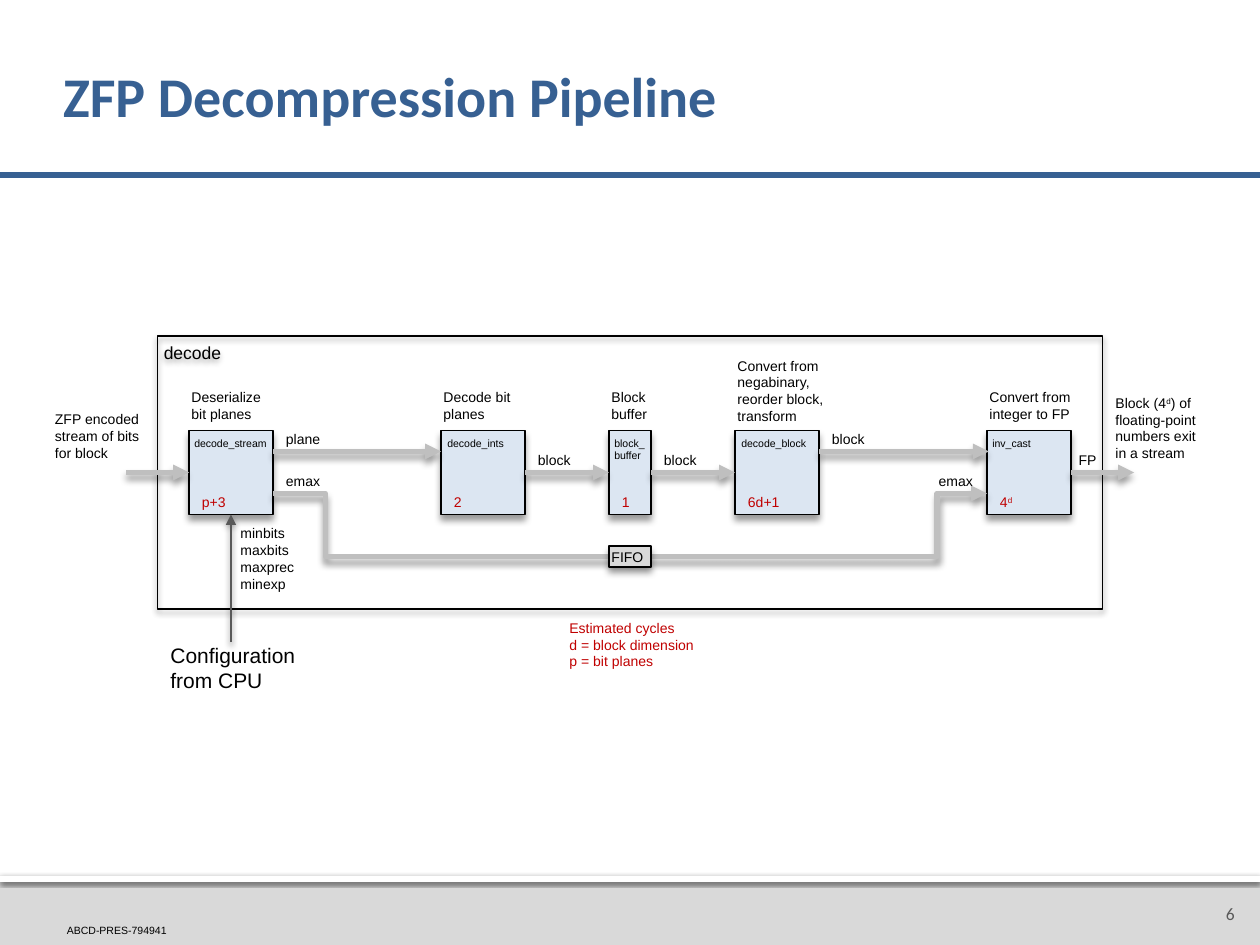
from lxml.etree import SubElement
from pptx import Presentation
from pptx.dml.color import RGBColor
from pptx.enum.shapes import MSO_CONNECTOR, MSO_SHAPE
from pptx.enum.text import MSO_ANCHOR, MSO_AUTO_SIZE, PP_ALIGN
from pptx.oxml.ns import qn
from pptx.util import Pt

TITLE = "ZFP Decompression Pipeline"
BLACK, RED, BLUE, GRAY, DARK = "000000", "C00000", "376092", "BFBFBF", "595959"
STAGE_FILL, FOOTER_FILL = "DCE6F2", "D9D9D9"
STAGE_TOP, STAGE_SIZE = 246, 48
DEEP, SOFT, STRIP = (40, 4, 3), (38, 3.5, 2), (60, 2.5, 0.8)

# name lines, left, width, left inset, cycles, caption lines, caption top
STAGES = [
    (["decode_stream"], 108, 48, 3, "p+3", ["Deserialize", "bit planes"], 222),
    (["decode_ints"], 252, 48, 3.6, "2", ["Decode bit", "planes"], 222),
    (["block_", "buffer"], 348, 24, 3, "1", ["Block", "buffer"], 222),
    (["decode_block"], 420, 48, 3.6, "6d+1",
     ["Convert from", "negabinary,", "reorder block,", "transform"], 204),
    (["inv_cast"], 564, 48, 3, "4^d", ["Convert from", "integer to FP"], 222),
]
FLOW_LABELS = [
    ("plane", 162, 246), ("emax", 162, 270), ("block", 306, 258), ("block", 378, 258),
    ("block", 474, 246), ("emax", 535, 270), ("FP", 615, 258),
]
# lines, left, top, width, size, colour
NOTES = [
    (["ZFP encoded stream of bits for block"], 30, 234.7, 54, 8, BLACK),
    (["Block (4^d^) of floating-point numbers exit in a stream"], 636, 225.3, 54, 8, BLACK),
    (["Configuration", "from CPU"], 96, 367.2, 80, 12, BLACK),
    (["minbits", "maxbits", "maxprec", "minexp"], 136, 300, 40, 8, BLACK),
    (["Estimated cycles", "d = block dimension", "p = bit planes"], 324, 354, 80, 8, RED),
]
# start, end, stage joined at start, stage joined at end
ARROWS = [
    ((72, 270), (108, 270), None, 0), ((612, 270), (648, 270), 4, None),
    ((300, 270), (348, 270), 1, 2), ((372, 270), (420, 270), 2, 3),
    ((156, 258), (252, 258), None, None), ((468, 258), (565, 258), None, None),
]
# start, end, bend position, has arrowhead
EMAX_PATHS = [((156, 282), (360, 318), 14700, False), ((360, 318), (564, 282), 86000, True)]


def color(value):
    return RGBColor.from_string(value)


def write(shape, lines, size, ink, insets=(1.4, 0, 0, 0), anchor=MSO_ANCHOR.TOP,
          align=PP_ALIGN.LEFT, font="Arial", bold=False, wrap=True):
    """Fill a shape with paragraphs; a caret switches superscript on and off."""
    frame = shape.text_frame
    frame.word_wrap, frame.auto_size, frame.vertical_anchor = wrap, MSO_AUTO_SIZE.NONE, anchor
    (frame.margin_left, frame.margin_top,
     frame.margin_right, frame.margin_bottom) = map(Pt, insets)
    for index, line in enumerate(lines):
        paragraph = frame.add_paragraph() if index else frame.paragraphs[0]
        paragraph.alignment = align
        for part, words in enumerate(line.split("^")):
            run = paragraph.add_run()
            run.text = words
            run.font.size, run.font.name, run.font.bold = Pt(size), font, bold
            run.font.color.rgb = color(ink)
            if part % 2:
                run.font._element.set("baseline", "30000")


def add_shadow(effects, opacity, blur, distance):
    shadow = SubElement(effects, qn("a:outerShdw"), blurRad=str(Pt(blur)), dist=str(Pt(distance)),
                        dir="5400000", rotWithShape="0")
    black = SubElement(shadow, qn("a:srgbClr"), val=BLACK)
    SubElement(black, qn("a:alpha"), val=str(opacity * 1000))


def add_box(slide, left, top, width, height, fill=None, line_width=None, shadow=None):
    box = slide.shapes.add_shape(MSO_SHAPE.RECTANGLE, *map(Pt, (left, top, width, height)))
    if fill:
        box.fill.solid()
        box.fill.fore_color.rgb = color(fill)
    else:
        box.fill.background()
    if line_width:
        box.line.color.rgb = color(BLACK)
        box.line.width = Pt(line_width)
    else:
        box.line.fill.background()
    box.shadow.inherit = False
    if shadow:
        add_shadow(box._element.spPr.find(qn("a:effectLst")), *shadow)
    return box


def add_label(slide, lines, left, top, width, size=8, ink=BLACK, wrap=True):
    label = slide.shapes.add_textbox(Pt(left), Pt(top), Pt(width), Pt(len(lines) * size * 1.2))
    write(label, lines, size, ink, wrap=wrap)


def add_line(slide, start, end, ink=GRAY, width=3, head=True, shadow=DEEP, bend=None):
    kind = MSO_CONNECTOR.ELBOW if bend else MSO_CONNECTOR.STRAIGHT
    line = slide.shapes.add_connector(kind, *map(Pt, start + end))
    line.line.color.rgb = color(ink)
    line.line.width = Pt(width)
    properties = line._element.spPr
    if head:
        SubElement(properties.find(qn("a:ln")), qn("a:tailEnd"), type="triangle")
    effects = SubElement(properties, qn("a:effectLst"))
    if shadow:
        add_shadow(effects, *shadow)
    if bend:
        guides = properties.find(qn("a:prstGeom")).get_or_add_avLst()
        SubElement(guides, qn("a:gd"), name="adj1", fmla=f"val {bend}")
    return line


def add_frame(slide):
    title = slide.shapes.title
    title.left, title.top, title.width, title.height = map(Pt, (36, 17.3, 648, 79.2))
    write(title, [TITLE], 32, BLUE, (0, 3.6, 3.6, 3.6), MSO_ANCHOR.MIDDLE,
          font="Calibri", bold=True)
    title.text_frame.paragraphs[0].line_spacing = 0.9
    add_line(slide, (0, 100), (720, 100), BLUE, head=False, shadow=None)
    add_box(slide, 0, 500.4, 720, 39.6, FOOTER_FILL)
    add_box(slide, 0, 500.4, 720, 3.6, "FFFFFF", shadow=STRIP)
    number = slide.shapes.add_textbox(Pt(684), Pt(504), Pt(36), Pt(36))
    write(number, ["6"], 10, DARK, (2.9, 3.6, 0.7, 3.6), MSO_ANCHOR.MIDDLE,
          PP_ALIGN.CENTER, "Calibri")
    report = slide.shapes.add_textbox(Pt(38.2), Pt(527.8), Pt(69), Pt(7.2))
    write(report, ["ABCD-PRES-794941"], 6, BLACK, (0, 0, 0, 0), MSO_ANCHOR.BOTTOM, wrap=False)


def add_pipeline(slide):
    decode = add_box(slide, 90, 192, 540, 156, line_width=1, shadow=SOFT)
    write(decode, ["decode"], 10, BLACK, (3.6,) * 4)

    stages = []
    for name, left, width, inset, *_ in STAGES:
        stage = add_box(slide, left, STAGE_TOP, width, STAGE_SIZE, STAGE_FILL, 0.75, DEEP)
        write(stage, name, 6, BLACK, (inset, 3.6, 2, 3.6))
        stages.append(stage)

    for start, end, source, target in ARROWS:
        arrow = add_line(slide, start, end)
        if source is not None:
            arrow.begin_connect(stages[source], 3)
        if target is not None:
            arrow.end_connect(stages[target], 1)
    for start, end, bend, head in EMAX_PATHS:
        add_line(slide, start, end, head=head, bend=bend)
    configuration = add_line(slide, (132, 367), (132, 294), DARK, 1.5, shadow=SOFT)
    configuration.end_connect(stages[0], 2)

    fifo = add_box(slide, 348, 312, 24, 12, FOOTER_FILL, 0.75, DEEP)
    write(fifo, ["FIFO"], 8, BLACK, (1.4,) * 4, wrap=False)

    for _, left, width, _, cycles, caption, caption_top in STAGES:
        add_label(slide, caption, left, caption_top, width + 6, wrap=False)
        add_label(slide, [cycles], left + 6, 282, 24, ink=RED, wrap=False)
    for words, left, top in FLOW_LABELS:
        add_label(slide, [words], left, top, 22, wrap=False)
    for note in NOTES:
        add_label(slide, *note)


def main():
    deck = Presentation()
    deck.slide_width, deck.slide_height = Pt(720), Pt(540)
    slide = deck.slides.add_slide(deck.slide_layouts[5])
    add_frame(slide)
    add_pipeline(slide)
    deck.save("out.pptx")


if __name__ == "__main__":
    main()
